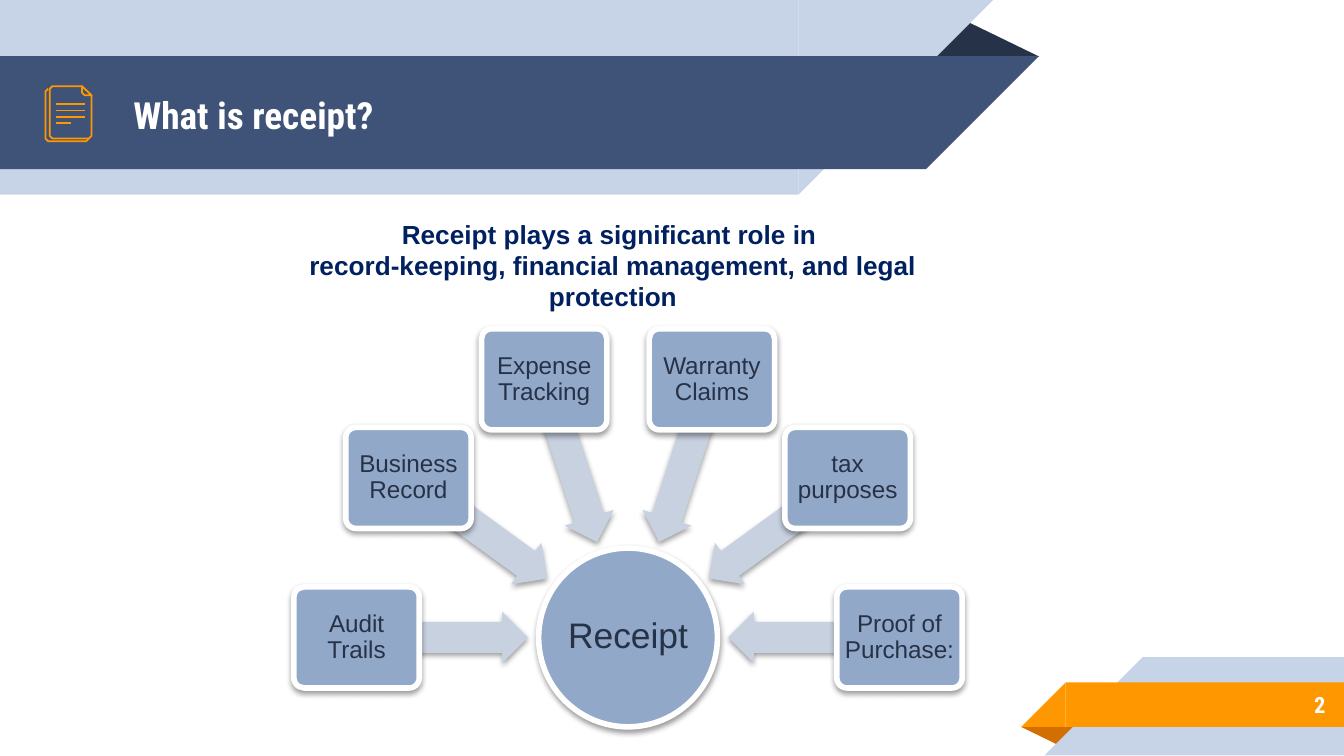
import math

import pptx
import pptx.dml.color
import pptx.enum.shapes
import pptx.enum.text
import pptx.oxml
import pptx.oxml.ns
import pptx.util
from pptx.util import Cm

RGBColor = pptx.dml.color.RGBColor
SHAPE = pptx.enum.shapes.MSO_SHAPE
ALIGN = pptx.enum.text.PP_ALIGN
ANCHOR = pptx.enum.text.MSO_ANCHOR

WHITE = RGBColor(0xFF, 0xFF, 0xFF)
PALE = RGBColor(0xC7, 0xD3, 0xE6)
NAVY = RGBColor(0x3F, 0x53, 0x78)
DARK = RGBColor(0x26, 0x32, 0x48)
ORANGE = RGBColor(0xFF, 0x98, 0x00)
RUST = RGBColor(0xD2, 0x6F, 0x00)
NODE = RGBColor(0x92, 0xA8, 0xC8)
ARROW = RGBColor(0xC7, 0xD1, 0xE0)
CAPTION = RGBColor(0x00, 0x20, 0x60)

HEADING_FONT = "Roboto Condensed"
BODY_FONT = "Arial"
HUB_X, HUB_Y = 11.87, 12.05
REASONS = ["Proof of Purchase:", "tax purposes", "Warranty Claims",
           "Expense Tracking", "Business Record", "Audit Trails"]

SHADOW = (
    f'<a:effectLst {pptx.oxml.ns.nsdecls("a")}>'
    '<a:outerShdw blurRad="39370" dist="20320" dir="5400000" rotWithShape="0">'
    '<a:srgbClr val="000000"><a:alpha val="38000"/></a:srgbClr>'
    '</a:outerShdw></a:effectLst>')


def add_filled(s, kind, x, y, w, h, color, rotation=0, adj=()):
    sp = s.shapes.add_shape(kind, Cm(x), Cm(y), Cm(w), Cm(h))
    sp.shadow.inherit = False
    sp.fill.solid()
    sp.fill.fore_color.rgb = color
    sp.line.fill.background()
    sp.rotation = rotation
    for i, value in enumerate(adj):
        sp.adjustments[i] = value
    return sp


def add_left_band(s, y, length, h, color):
    """Band from the left edge whose slanted end is longest at the top."""
    add_filled(s, SHAPE.RECTANGLE, 0, y, length, h, color)
    add_filled(s, SHAPE.RIGHT_TRIANGLE, length, y, h, h, color, rotation=90)


def add_right_band(s, x, y, h, color):
    """Band to the right edge whose slanted end is longest at the bottom."""
    add_filled(s, SHAPE.RIGHT_TRIANGLE, x, y, h, h, color, rotation=270)
    add_filled(s, SHAPE.RECTANGLE, x + h, y, 25.4 - x - h, h, color)


def write_text(sp, text, size, color, font, align, bold=False,
               anchor=ANCHOR.MIDDLE, inset=0.25):
    tf = sp.text_frame
    tf.text = text
    tf.word_wrap = True
    tf.vertical_anchor = anchor
    tf.margin_left = tf.margin_right = Cm(inset)
    tf.margin_top = tf.margin_bottom = Cm(min(inset, 0.13))
    for p in tf.paragraphs:
        p.alignment = align
        for r in p.runs:
            r.font.size = pptx.util.Pt(size)
            r.font.name = font
            r.font.bold = bold
            r.font.color.rgb = color


def add_text(s, x, y, w, h, *args, **kwargs):
    sp = s.shapes.add_textbox(Cm(x), Cm(y), Cm(w), Cm(h))
    write_text(sp, *args, **kwargs)


def add_shadow(sp):
    props = sp.element.spPr
    for old in props.findall(pptx.oxml.ns.qn("a:effectLst")):
        props.remove(old)
    props.append(pptx.oxml.parse_xml(SHADOW))


def add_node(s, kind, cx, cy, w, h, text, size, inset, adj=()):
    sp = add_filled(s, kind, cx - w / 2, cy - h / 2, w, h, NODE, adj=adj)
    sp.line.color.rgb = WHITE
    sp.line.width = pptx.util.Pt(3)
    add_shadow(sp)
    write_text(sp, text, size, DARK, BODY_FONT, ALIGN.CENTER, inset=inset)
    sp.text_frame.paragraphs[0].line_spacing = 0.9


def on_circle(radius, angle):
    rad = math.radians(angle)
    return HUB_X + radius * math.cos(rad), HUB_Y - radius * math.sin(rad)


def add_wheel(s):
    add_node(s, SHAPE.OVAL, HUB_X, HUB_Y, 3.38, 3.38, "Receipt", 19, 0.03)
    step = 180 / (len(REASONS) - 1)
    for i, reason in enumerate(REASONS):
        angle = i * step
        x, y = on_circle(3.52, angle)
        w, h = 3.25, 0.97
        arrow = add_filled(s, SHAPE.LEFT_ARROW, x - w / 2, y - h / 2, w, h,
                           ARROW, rotation=-angle % 360, adj=(0.6, 0.5))
        add_shadow(arrow)
        x, y = on_circle(5.13, angle)
        add_node(s, SHAPE.ROUNDED_RECTANGLE, x, y, 2.37, 1.91, reason, 13,
                 0.07, adj=(0.1,))


def style_icon_line(sp):
    sp.line.color.rgb = ORANGE
    sp.line.width = pptx.util.Pt(0.96)


def add_outline(s, points, close=False):
    start, *rest = [(Cm(x), Cm(y)) for x, y in points]
    builder = s.shapes.build_freeform(*start)
    builder.add_line_segments(rest, close=close)
    sp = builder.convert_to_shape()
    sp.shadow.inherit = False
    sp.fill.background()
    style_icon_line(sp)


def add_document_icon(s):
    add_outline(s, [(1.68, 2.62), (1.63, 2.67), (0.91, 2.67), (0.86, 2.62),
                    (0.86, 1.73), (0.91, 1.68)])
    add_outline(s, [(1.73, 1.8), (1.73, 2.57), (1.68, 2.62), (0.99, 2.62),
                    (0.94, 2.57), (0.94, 1.68), (0.99, 1.63), (1.55, 1.63)])
    add_outline(s, [(1.55, 1.63), (1.73, 1.8), (1.6, 1.8), (1.55, 1.75)],
                close=True)
    for i, right in enumerate([1.61, 1.61, 1.61, 1.35]):
        y = Cm(1.97 + 0.12 * i)
        line = s.shapes.add_connector(pptx.enum.shapes.MSO_CONNECTOR.STRAIGHT,
                                      Cm(right), y, Cm(1.06), y)
        style_icon_line(line)
        line.element.spPr.append(pptx.oxml.parse_xml(
            f'<a:effectLst {pptx.oxml.ns.nsdecls("a")}/>'))


def add_ribbons(s):
    add_filled(s, SHAPE.ISOSCELES_TRIANGLE, 19.3, 13.74, 1.09, 0.36, RUST,
               rotation=180, adj=(0.324,))
    add_right_band(s, 19.74, 12.42, 1.86, PALE)
    add_right_band(s, 19.3, 12.9, 0.84, ORANGE)
    add_filled(s, SHAPE.ISOSCELES_TRIANGLE, 17.48, 0.36, 2.16, 0.71, DARK,
               adj=(0.324,))
    add_left_band(s, 0, 15.09, 3.68, PALE)
    add_left_band(s, 1.06, 17.5, 2.14, NAVY)


def main():
    prs = pptx.Presentation()
    prs.slide_width, prs.slide_height = Cm(25.4), Cm(14.29)
    s = prs.slides.add_slide(prs.slide_layouts[6])
    add_ribbons(s)
    add_text(s, 2.27, 1.1, 15.27, 2.14, "What is receipt?", 20, WHITE,
             HEADING_FONT, ALIGN.LEFT, bold=True)
    add_text(s, 21.16, 12.88, 4.14, 0.89, "2", 12, WHITE, HEADING_FONT,
             ALIGN.RIGHT, bold=True)
    add_document_icon(s)
    add_wheel(s)
    add_text(s, 4.32, 3.99, 14.53, 1.45,
             "Receipt plays a significant role in \n"
             "record-keeping, financial management, and legal protection",
             14, CAPTION, BODY_FONT, ALIGN.CENTER, bold=True,
             anchor=ANCHOR.TOP)
    prs.save("out.pptx")


if __name__ == "__main__":
    main()
